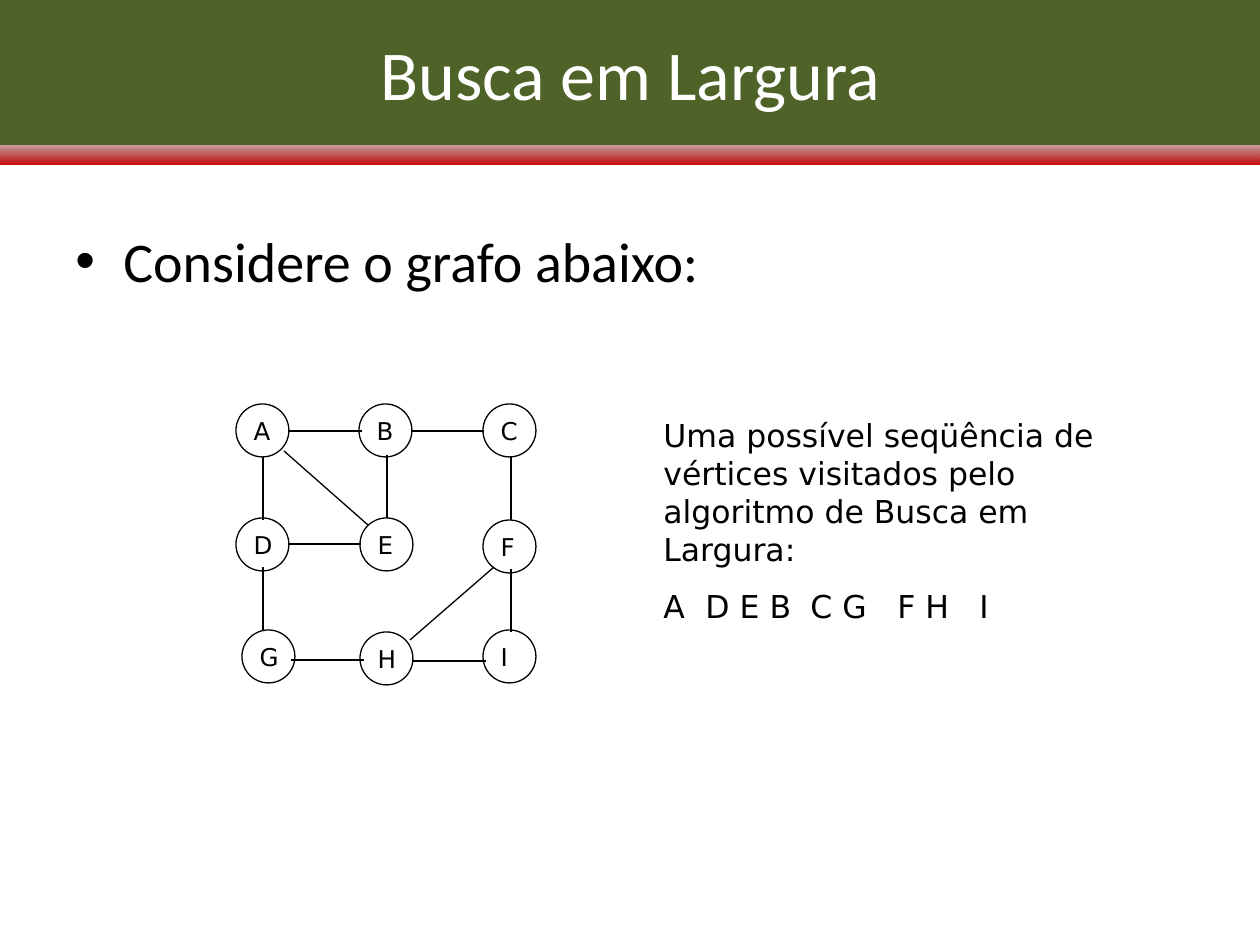
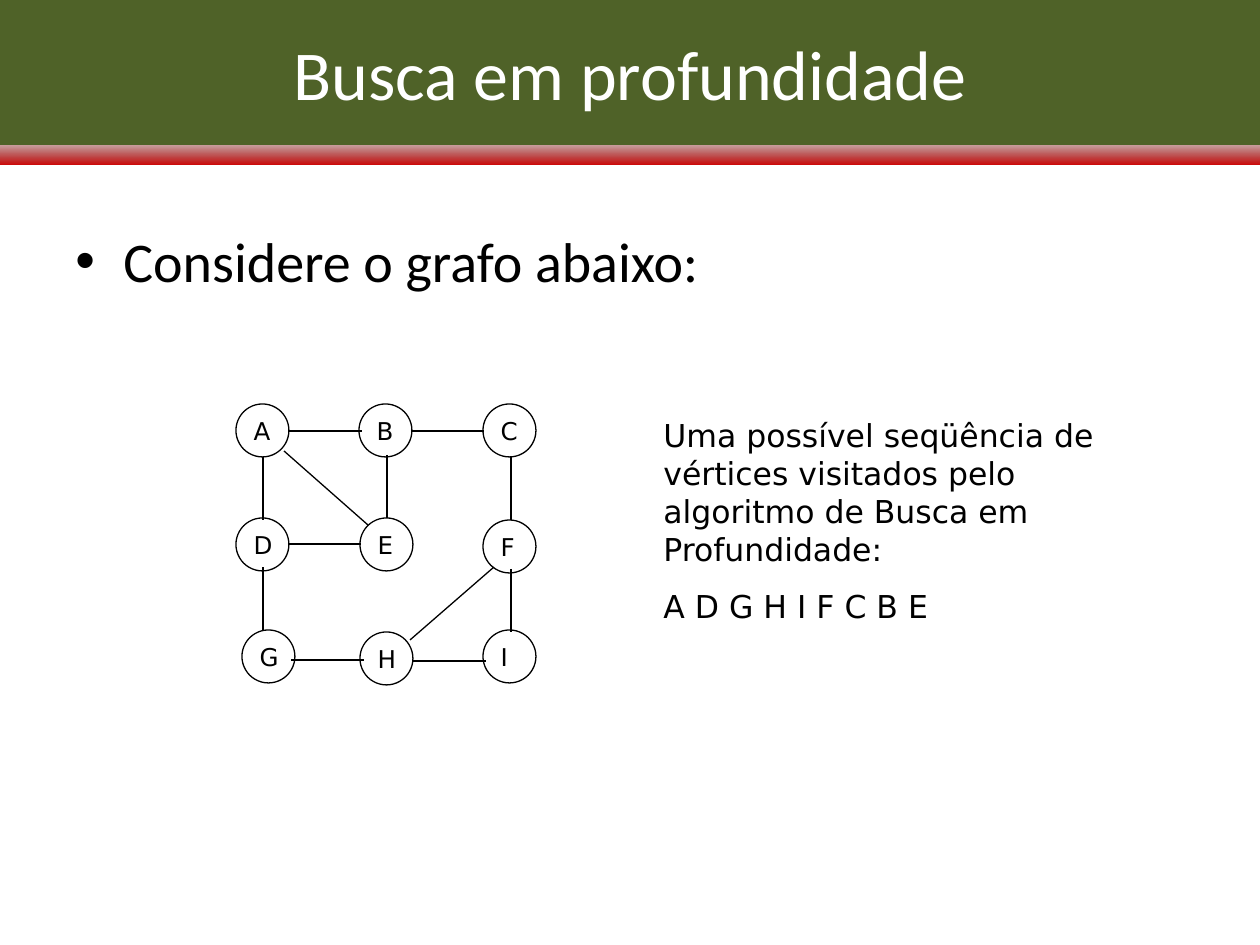
from dataclasses import dataclass

from lxml.etree import SubElement
from pptx import Presentation
from pptx.dml.color import RGBColor
from pptx.enum.shapes import MSO_CONNECTOR as Connector, MSO_SHAPE as Shape
from pptx.enum.text import MSO_ANCHOR as Anchor, MSO_AUTO_SIZE as AutoSize, PP_ALIGN as Align
from pptx.oxml.ns import qn
from pptx.util import Pt

PX = 914400 / 126


@dataclass(frozen=True)
class Theme:
    black: str = "000000"
    white: str = "FFFFFF"
    band: str = "4F6228"
    strip_start: str = "5E0000"
    strip_end: str = "CC0000"
    strip_alpha: int = 21
    heading_font: str = "Calibri"
    graph_font: str = "DejaVu Sans"
    title_size: int = 40
    bullet_size: int = 32
    note_size: int = 18
    node_size: int = 14
    line_width: float = 0.75


# Graph: node corners and edges, in px
NODE_DIAMETER = 53
NODES = {
    "A": (236, 404), "B": (359, 404), "C": (483, 404),
    "D": (236, 518), "E": (360, 518), "F": (483, 520),
    "G": (242, 630), "H": (360, 632), "I": (483, 630),
}
ACROSS, DOWN = 73, 63
EDGES = (
    [(x, y, x + ACROSS, y) for x, y in
     [(289, 431), (411, 431), (288, 544), (291, 660), (413, 661)]]
    + [(x, y, x, y + DOWN) for x, y in
       [(263, 457), (263, 567), (387, 455), (511, 457), (511, 569)]]
    + [(284, 451, 368, 525), (494, 567, 410, 640)]
)

# Title, note, visiting order (tabs part the levels), tab stops
SEARCHES = [
    ("Busca em Largura",
     "Uma possível seqüência de vértices visitados pelo algoritmo de Busca em Largura:",
     "A\tD E B\tC G\tF H\tI", (42, 147, 234, 316)),
    ("Busca em profundidade",
     "Uma possível seqüência de vértices visitados pelo algoritmo de Busca em Profundidade:",
     "A D G H I F C B E", ()),
]


def emu(*lengths):
    return [round(length * PX) for length in lengths]


class Deck:
    def __init__(self, theme):
        self.theme = theme
        self.presentation = Presentation()
        self.presentation.slide_width, self.presentation.slide_height = emu(1260, 945)
        self.slide = None

    def add_slide(self):
        self.slide = self.presentation.slides.add_slide(self.presentation.slide_layouts[6])

    def style(self, paragraph, font, size, color=None):
        paragraph.font.name = font
        paragraph.font.size = Pt(size)
        paragraph.font.color.rgb = RGBColor.from_string(color or self.theme.black)

    def shape(self, kind, *box):
        shape = self.slide.shapes.add_shape(kind, *emu(*box))
        shape.shadow.inherit = False
        shape.line.fill.background()
        return shape

    def text_box(self, *box):
        text_box = self.slide.shapes.add_textbox(*emu(*box))
        text_box.text_frame.word_wrap = True
        return text_box.text_frame

    def strip(self):
        strip = self.shape(Shape.RECTANGLE, -1, 141, 1261, 24)
        strip.fill.gradient()
        strip.fill.gradient_angle = 270
        colors = (self.theme.strip_start, self.theme.strip_end)
        for stop, color in zip(strip.fill.gradient_stops, colors):
            stop.color.rgb = RGBColor.from_string(color)
        start = strip._element.xpath(".//a:gs/a:srgbClr")[0]
        SubElement(start, qn("a:alpha"), val=str(self.theme.strip_alpha * 1000))

    def title(self, text):
        band = self.shape(Shape.RECTANGLE, 0, 0, 1260, 145)
        band.fill.solid()
        band.fill.fore_color.rgb = RGBColor.from_string(self.theme.band)
        band.text_frame.vertical_anchor = Anchor.MIDDLE
        paragraph = band.text_frame.paragraphs[0]
        paragraph.text = text
        paragraph.alignment = Align.CENTER
        self.style(paragraph, self.theme.heading_font, self.theme.title_size, self.theme.white)

    def bullet(self, text):
        paragraph = self.text_box(63, 220, 1134, 624).paragraphs[0]
        paragraph.text = text
        indent, = emu(48)
        properties = paragraph._p.get_or_add_pPr()
        properties.set("marL", str(indent))
        properties.set("indent", str(-indent))
        SubElement(properties, qn("a:buFont"), typeface="Arial")
        SubElement(properties, qn("a:buChar"), char="•")
        self.style(paragraph, self.theme.heading_font, self.theme.bullet_size)

    def node(self, label, left, top):
        circle = self.shape(Shape.OVAL, left, top, NODE_DIAMETER, NODE_DIAMETER)
        circle.fill.background()
        circle.line.color.rgb = RGBColor.from_string(self.theme.black)
        circle.line.width = Pt(self.theme.line_width)
        frame = circle.text_frame
        frame.margin_left, frame.margin_right, frame.margin_top, frame.margin_bottom = emu(10, 0, 0, 0)
        frame.vertical_anchor = Anchor.MIDDLE
        paragraph = frame.paragraphs[0]
        paragraph.text = label
        paragraph.alignment = Align.LEFT
        self.style(paragraph, self.theme.graph_font, self.theme.node_size)

    def edge(self, *ends):
        edge = self.slide.shapes.add_connector(Connector.STRAIGHT, *emu(*ends))
        edge.line.color.rgb = RGBColor.from_string(self.theme.black)
        edge.line.width = Pt(self.theme.line_width)
        SubElement(edge._element.spPr, qn("a:effectLst"))

    def note(self, text, order, tab_stops):
        frame = self.text_box(651, 410, 483, 222)
        frame.auto_size = AutoSize.SHAPE_TO_FIT_TEXT
        explanation, sequence = frame.paragraphs[0], frame.add_paragraph()
        explanation.text = text
        sequence.text = order
        sequence.space_before = Pt(11.2)
        if tab_stops:
            tabs = SubElement(sequence._p.get_or_add_pPr(), qn("a:tabLst"))
            for position in emu(*tab_stops):
                SubElement(tabs, qn("a:tab"), pos=str(position), algn="l")
        for paragraph in frame.paragraphs:
            self.style(paragraph, self.theme.graph_font, self.theme.note_size)


def main():
    deck = Deck(Theme())
    for title, note, order, tab_stops in SEARCHES:
        deck.add_slide()
        deck.strip()
        deck.bullet("Considere o grafo abaixo:")
        # Graph
        for label, corner in NODES.items():
            deck.node(label, *corner)
        for ends in EDGES:
            deck.edge(*ends)
        # Visiting order and title
        deck.note(note, order, tab_stops)
        deck.title(title)
    deck.presentation.save("out.pptx")


if __name__ == "__main__":
    main()
